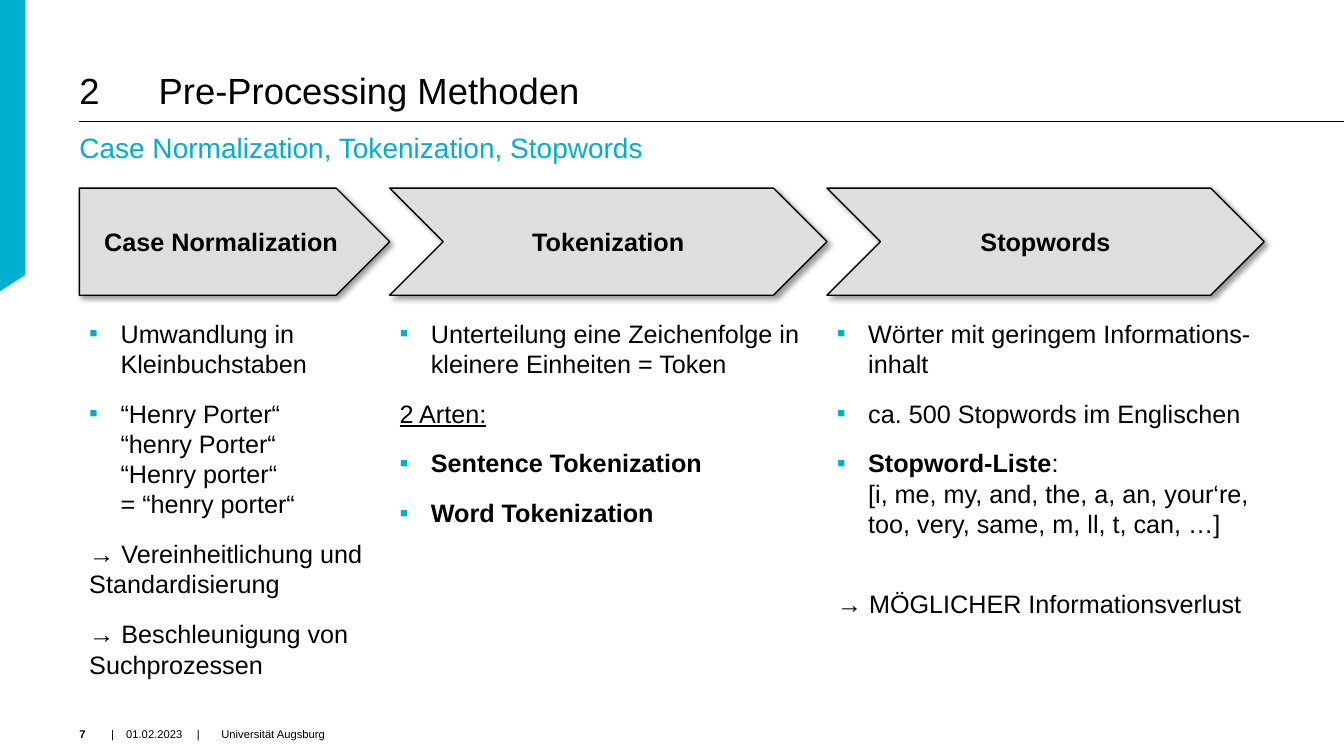
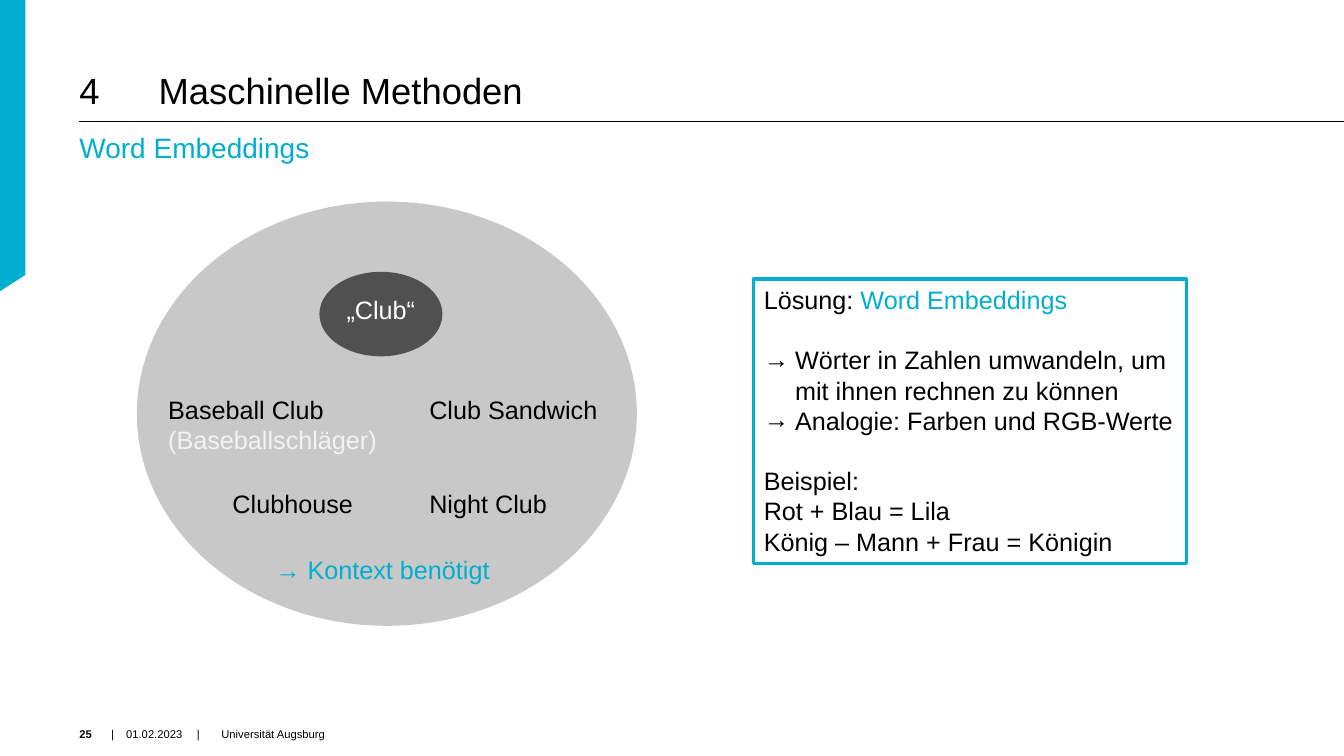
from dataclasses import dataclass, field

from lxml.etree import SubElement
from pptx import Presentation
from pptx.dml.color import RGBColor
from pptx.enum.shapes import MSO_CONNECTOR as Connector, MSO_SHAPE as Shape
from pptx.enum.text import MSO_ANCHOR as Anchor, PP_ALIGN as Align
from pptx.oxml.ns import qn
from pptx.util import Cm, Pt

COLORS = {
    "accent": "00AECF",
    "black": "000000",
    "white": "FFFFFF",
    "arrow": "DEDEDE",
    "cloud": "C8C8C8",
    "core": "505050",
    "pale": "F2F2F2",
}
FONT = "Arial"
MARGIN = 2
SLIDE_WIDTH, SLIDE_HEIGHT = 33.87, 19.05
CONTENT_WIDTH = 29.87
INSET = (0.25, 0.13, 0.25, 0.13)
NO_INSET = (0, 0, 0, 0)
HANGING = 0.79
BODY_SIZE = 18
LINE_GAP = 21.6


@dataclass
class Run:
    text: str
    color: str = "black"
    size: float = BODY_SIZE
    bold: bool = False
    underline: bool = False


@dataclass
class Block:
    runs: list
    bullet: str = ""
    before: float = 0
    after: float = 0
    align: Align = Align.LEFT
    line_spacing: float = 1
    tabs: list = field(default_factory=list)


def rgb(name):
    return RGBColor.from_string(COLORS[name])


def plain(text, **style):
    return Block([Run(text, **style)])


def body(*runs, bullet="▪", before=6):
    return Block(list(runs), bullet, before, 8)


def add_bullet(paragraph, character, color):
    properties = paragraph._p.get_or_add_pPr()
    properties.set("marL", str(Cm(HANGING)))
    properties.set("indent", str(-Cm(HANGING)))
    bullet_color = SubElement(properties, qn("a:buClr"))
    SubElement(bullet_color, qn("a:srgbClr"), val=COLORS[color])
    SubElement(properties, qn("a:buFont"), typeface=FONT)
    SubElement(properties, qn("a:buChar"), char=character)


def add_tabs(paragraph, positions):
    tab_list = SubElement(paragraph._p.get_or_add_pPr(), qn("a:tabLst"))
    for position in positions:
        SubElement(tab_list, qn("a:tab"), pos=str(Cm(position)), algn="l")


def add_run(paragraph, content):
    for index, line in enumerate(content.text.split("\n")):
        if index:
            paragraph.add_line_break()
        if not line:
            continue
        run = paragraph.add_run()
        run.text = line
        font = run.font
        font.name = FONT
        font.size = Pt(content.size)
        font.bold = content.bold
        font.underline = content.underline
        font.color.rgb = rgb(content.color)


def fill_text(shape, blocks, inset=INSET, anchor=Anchor.TOP):
    frame = shape.text_frame
    frame.word_wrap = True
    frame.vertical_anchor = anchor
    (frame.margin_left, frame.margin_top,
     frame.margin_right, frame.margin_bottom) = map(Cm, inset)
    for index, block in enumerate(blocks):
        paragraph = frame.add_paragraph() if index else frame.paragraphs[0]
        if block.bullet:
            marker_color = "accent" if block.bullet == "▪" else "black"
            add_bullet(paragraph, block.bullet, marker_color)
        if block.tabs:
            add_tabs(paragraph, block.tabs)
        paragraph.alignment = block.align
        paragraph.line_spacing = block.line_spacing
        paragraph.space_before = Pt(block.before if index else 0)
        paragraph.space_after = Pt(block.after)
        for content in block.runs:
            add_run(paragraph, content)


def add_text(slide, left, top, width, height, blocks, **options):
    box = slide.shapes.add_textbox(Cm(left), Cm(top), Cm(width), Cm(height))
    fill_text(box, blocks, **options)


def add_figure(slide, kind, left, top, width, height,
               fill=None, line=None, line_width=1):
    shape = slide.shapes.add_shape(
        kind, Cm(left), Cm(top), Cm(width), Cm(height))
    shape.shadow.inherit = False
    paint(shape, fill, line, line_width)
    return shape


def paint(shape, fill, line=None, line_width=1):
    if fill:
        shape.fill.solid()
        shape.fill.fore_color.rgb = rgb(fill)
    else:
        shape.fill.background()
    if line:
        shape.line.color.rgb = rgb(line)
        shape.line.width = Pt(line_width)
    else:
        shape.line.fill.background()


def add_shadow(shape):
    effects = shape._element.spPr.find(qn("a:effectLst"))
    shadow = SubElement(
        effects, qn("a:outerShdw"), blurRad=str(Pt(4)), dist=str(Pt(3)),
        dir="2700000", algn="tl", rotWithShape="0")
    color = SubElement(shadow, qn("a:srgbClr"), val=COLORS["black"])
    SubElement(color, qn("a:alpha"), val="40000")


def add_side_band(slide):
    builder = slide.shapes.build_freeform(0, 0)
    corners = [(0.64, 0), (0.64, 6.93), (0, 7.34)]
    builder.add_line_segments([(Cm(x), Cm(y)) for x, y in corners])
    band = builder.convert_to_shape()
    band.shadow.inherit = False
    paint(band, "accent")


def add_title_rule(slide):
    rule = slide.shapes.add_connector(
        Connector.STRAIGHT, Cm(MARGIN), Cm(3.06), Cm(SLIDE_WIDTH), Cm(3.06))
    rule.line.color.rgb = rgb("black")
    rule.line.width = Pt(0.5)
    SubElement(rule._element.spPr, qn("a:effectLst"))


def add_footer(slide, number):
    parts = [
        (MARGIN, 0.8, number, True, []),
        (2.8, 2.2, "|\t01.02.2023", False, [0.38]),
        (4.96, 20, "|\tUniversität Augsburg", False, [0.62]),
    ]
    for left, width, text, bold, tabs in parts:
        block = Block([Run(text, size=8, bold=bold)], tabs=tabs)
        add_text(slide, left, 18.06, width, 0.61, [block],
                 inset=NO_INSET, anchor=Anchor.BOTTOM)


def add_content_slide(presentation, number, chapter, title, subtitle):
    slide = presentation.slides.add_slide(presentation.slide_layouts[6])
    add_side_band(slide)
    add_title_rule(slide)
    heading = Block([Run(f"{chapter}\t{title}", size=26)],
                    line_spacing=0.9, tabs=[2])
    add_text(slide, MARGIN, 0, CONTENT_WIDTH, 2.82, [heading],
             inset=NO_INSET, anchor=Anchor.BOTTOM)
    add_text(slide, MARGIN, 3.28, CONTENT_WIDTH, 1.02,
             [plain(subtitle, color="accent", size=20)], inset=NO_INSET)
    add_footer(slide, number)
    return slide


def add_step(slide, kind, left, width, title, blocks):
    add_text(slide, left, 7.88, width, 9.5, blocks)
    arrow = add_figure(slide, kind, left, 4.74, width, 2.7, "arrow", "black")
    add_shadow(arrow)
    label = Block([Run(title, bold=True)], align=Align.CENTER)
    fill_text(arrow, [label], anchor=Anchor.MIDDLE)


def build_preprocessing(presentation):
    slide = add_content_slide(
        presentation, "7", "2", "Pre-Processing Methoden",
        "Case Normalization, Tokenization, Stopwords")
    normalization = [
        body(Run("Umwandlung in Kleinbuchstaben")),
        body(Run("“Henry Porter“\n“henry Porter“\n“Henry porter“\n"
                 "= “henry porter“")),
        body(Run("→ Vereinheitlichung und Standardisierung"), bullet=""),
        body(Run("→ Beschleunigung von Suchprozessen"), bullet=""),
    ]
    tokenization = [
        body(Run("Unterteilung eine Zeichenfolge in kleinere Einheiten "
                 "= Token")),
        body(Run("2 Arten:", underline=True), bullet=""),
        body(Run("Sentence Tokenization", bold=True)),
        body(Run("Word Tokenization", bold=True)),
    ]
    stopwords = [
        body(Run("Wörter mit geringem Informations-inhalt")),
        body(Run("ca. 500 Stopwords im Englischen")),
        body(Run("Stopword-Liste", bold=True),
             Run(":\n[i, me, my, and, the, a, an, your‘re, too, very, same, "
                 "m, ll, t, can, …]")),
        body(Run("→ MÖGLICHER Informationsverlust"), bullet="",
             before=6 + LINE_GAP),
    ]
    steps = [
        (Shape.PENTAGON, 7.82, "Case Normalization", normalization),
        (Shape.CHEVRON, 11.02, "Tokenization", tokenization),
        (Shape.CHEVRON, 11.02, "Stopwords", stopwords),
    ]
    left = MARGIN
    for kind, width, title, blocks in steps:
        add_step(slide, kind, left, width, title, blocks)
        left += width


def build_embeddings(presentation):
    slide = add_content_slide(
        presentation, "25", "4", "Maschinelle Methoden", "Word Embeddings")
    add_figure(slide, Shape.OVAL, 3.45, 5.08, 12.6, 10.69, "cloud")
    core = add_figure(slide, Shape.OVAL, 8.05, 6.85, 3.1, 2.13, "core")
    word = Block([Run("„Club“", "white")], align=Align.CENTER)
    fill_text(core, [word], inset=(0, 0, 0, 0.25), anchor=Anchor.MIDDLE)

    labels = [
        (3.99, 9.81, [plain("Baseball Club"),
                      plain("(Baseballschläger)", color="pale")]),
        (10.57, 9.81, [plain("Club Sandwich")]),
        (5.61, 12.18, [plain("Clubhouse")]),
        (10.57, 12.18, [plain("Night Club")]),
        (6.69, 13.85, [plain("→ Kontext benötigt", color="accent")]),
    ]
    for left, top, blocks in labels:
        add_text(slide, left, top, 6.4, 1.02 * len(blocks), blocks)

    solution = add_figure(slide, Shape.RECTANGLE, 19, 7.03, 10.9, 7.18,
                          line="accent", line_width=2.25)
    fill_text(solution, [
        Block([Run("Lösung: "), Run("Word Embeddings", "accent")]),
        Block([Run("Wörter in Zahlen umwandeln, um mit ihnen rechnen "
                   "zu können")], bullet="→", before=LINE_GAP),
        Block([Run("Analogie: Farben und RGB-Werte")], bullet="→"),
        Block([Run("Beispiel:")], before=LINE_GAP),
        plain("Rot + Blau = Lila"),
        plain("König – Mann + Frau = Königin"),
    ])


def main():
    presentation = Presentation()
    presentation.slide_width = Cm(SLIDE_WIDTH)
    presentation.slide_height = Cm(SLIDE_HEIGHT)
    build_preprocessing(presentation)
    build_embeddings(presentation)
    presentation.save("out.pptx")


if __name__ == "__main__":
    main()
